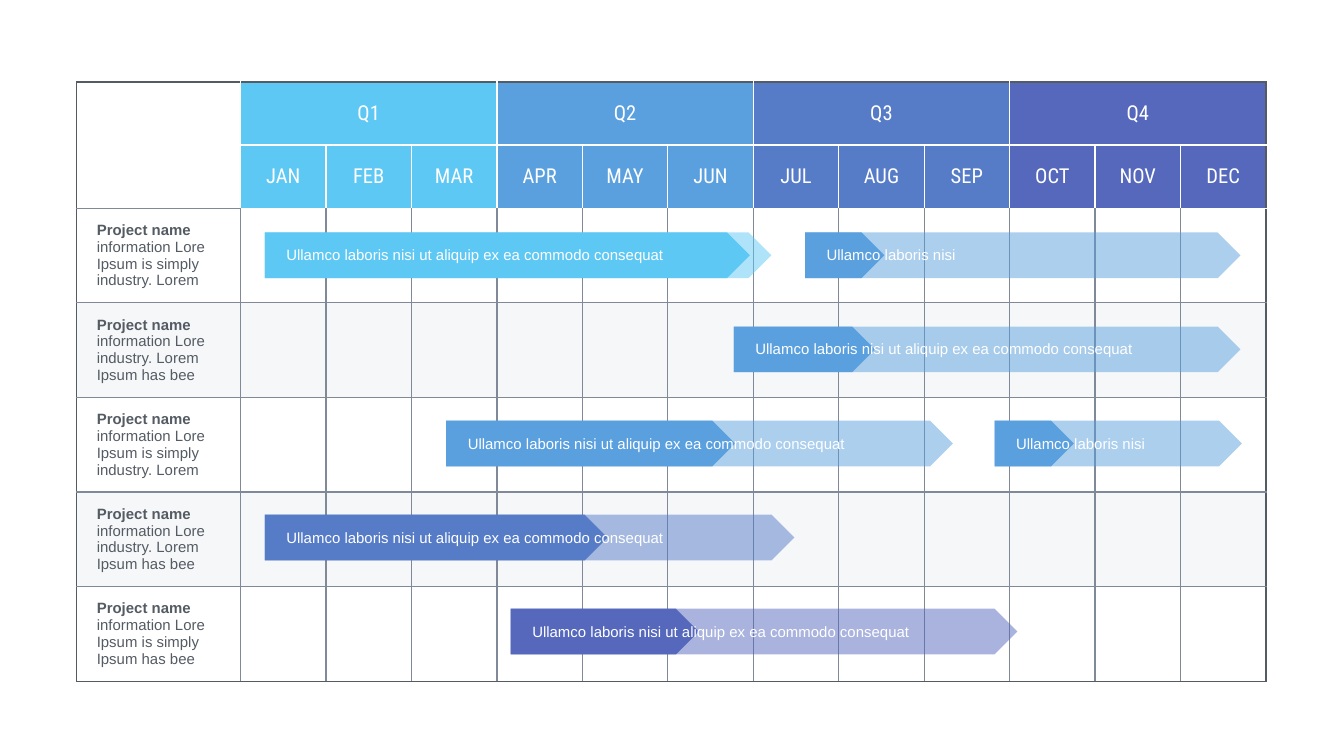
from dataclasses import dataclass

import pptx
import pptx.dml.color
import pptx.enum.shapes
import pptx.enum.text
import pptx.oxml.ns
import pptx.util
from lxml import etree

Inches = pptx.util.Inches
qn = pptx.oxml.ns.qn


@dataclass(frozen=True)
class Theme:
    quarters: tuple = ("5EC8F5", "5AA0DF", "567BC7", "5568BC")
    white: str = "FFFFFF"
    band: str = "EEF0F4"
    grid: str = "7F8998"
    dark: str = "545B63"
    head_font: str = "Roboto Condensed"
    body_font: str = "Arial"
    head_size: int = 11
    body_size: int = 8
    border: float = 0.75


MONTHS = "JAN FEB MAR APR MAY JUN JUL AUG SEP OCT NOV DEC".split()
HEAD_ROWS = 2
PROJECTS = [
    "information Lore Ipsum is simply industry. Lorem",
    "information Lore industry. Lorem Ipsum has bee",
    "information Lore Ipsum is simply industry. Lorem",
    "information Lore industry. Lorem Ipsum has bee",
    "information Lore Ipsum is simply Ipsum has bee",
]
LAST_ROW = HEAD_ROWS + len(PROJECTS) - 1
LAST_COL = len(MONTHS)
LONG = "Ullamco laboris nisi ut aliquip ex ea commodo consequat"
SHORT = "Ullamco laboris nisi"
# project row, quarter colour, left, planned width, done width, label
BARS = [
    (1, 1, 5.46, 3.77, 1.05, LONG),
    (0, 0, 1.97, 3.77, 3.61, LONG),
    (3, 2, 1.97, 3.94, 2.55, LONG),
    (4, 3, 3.8, 3.77, 1.4, LONG),
    (2, 1, 3.32, 3.77, 2.15, LONG),
    (2, 1, 7.4, 1.84, 0.59, SHORT),
    (0, 1, 5.99, 3.24, 0.59, SHORT),
]


class GanttSlide:
    def __init__(self, prs, theme):
        self.theme = theme
        self.s = prs.slides.add_slide(prs.slide_layouts[6])

    def paint(self, fill, color, alpha=100):
        fill.solid()
        fill.fore_color.rgb = pptx.dml.color.RGBColor.from_string(color)
        if alpha < 100:
            clr = fill._xPr.find(qn("a:solidFill"))[0]
            etree.SubElement(clr, qn("a:alpha"), val=str(alpha * 1000))

    def style_run(self, r, font, size, color, bold=False):
        r.font.name = font
        r.font.size = pptx.util.Pt(size)
        r.font.bold = bold
        r.font.color.rgb = pptx.dml.color.RGBColor.from_string(color)

    def insets(self, obj, left=0.04):
        obj.margin_left, obj.margin_right = Inches(left), Inches(0.04)
        obj.margin_top = obj.margin_bottom = Inches(0.02)

    def borders(self, cell, row, col):
        """Dark outer frame, white lines in the header, grey lines elsewhere."""
        t = self.theme
        end_row = row + (cell.span_height if cell.is_merge_origin else 1) - 1
        end_col = col + (cell.span_width if cell.is_merge_origin else 1) - 1
        header = row < HEAD_ROWS
        inner = t.white if header else t.grid
        colors = {
            "L": t.dark if col == 0 else inner,
            "R": t.dark if end_col == LAST_COL else inner,
            "T": t.dark if row == 0 else
                 t.white if col and row <= HEAD_ROWS else t.grid,
            "B": t.dark if end_row == LAST_ROW else
                 t.white if col and header else t.grid,
        }
        tc_pr = cell._tc.get_or_add_tcPr()
        for side, color in colors.items():
            ln = etree.SubElement(tc_pr, qn("a:ln" + side),
                                  w=str(pptx.util.Pt(t.border)))
            solid = etree.SubElement(ln, qn("a:solidFill"))
            etree.SubElement(solid, qn("a:srgbClr"), val=color)

    def head_cell(self, cell, text, quarter):
        t = self.theme
        self.paint(cell.fill, t.quarters[quarter])
        cell.text_frame.text = text
        p = cell.text_frame.paragraphs[0]
        p.alignment = pptx.enum.text.PP_ALIGN.CENTER
        self.style_run(p.runs[0], t.head_font, t.head_size, t.white)

    def project_cell(self, cell, details):
        t = self.theme
        self.insets(cell, left=0.15)
        p = cell.text_frame.paragraphs[0]
        for text, bold in (("Project name ", True), (details, False)):
            r = p.add_run()
            r.text = text
            self.style_run(r, t.body_font, t.body_size, t.dark, bold)

    def calendar(self, left, top, name_width, month_width, head_height, row_height):
        t = self.theme
        frame = self.s.shapes.add_table(
            LAST_ROW + 1, LAST_COL + 1, Inches(left), Inches(top),
            Inches(name_width + month_width * len(MONTHS)),
            Inches(head_height * HEAD_ROWS + row_height * len(PROJECTS)))
        table = frame.table
        table.first_row = table.horz_banding = False
        for i, column in enumerate(table.columns):
            column.width = Inches(month_width if i else name_width)
        for i, row in enumerate(table.rows):
            row.height = Inches(head_height if i < HEAD_ROWS else row_height)

        table.cell(0, 0).merge(table.cell(1, 0))
        for col in range(1, LAST_COL, 3):
            table.cell(0, col).merge(table.cell(0, col + 2))

        for row in range(LAST_ROW + 1):
            for col in range(LAST_COL + 1):
                cell = table.cell(row, col)
                if cell.is_spanned:
                    continue
                self.borders(cell, row, col)
                self.insets(cell)
                cell.vertical_anchor = pptx.enum.text.MSO_ANCHOR.MIDDLE
                quarter = (col - 1) // 3
                if row >= HEAD_ROWS:
                    if row % 2:
                        self.paint(cell.fill, t.band, 50)
                    else:
                        self.paint(cell.fill, t.white, 50 if row == LAST_ROW else 100)
                    if col == 0:
                        self.project_cell(cell, PROJECTS[row - HEAD_ROWS])
                elif col == 0:
                    cell.fill.background()
                else:
                    text = MONTHS[col - 1] if row else f"Q{quarter + 1}"
                    self.head_cell(cell, text, quarter)

    def bar(self, left, top, planned, done, color, label):
        """A pale arrow for the plan, a solid one for the progress, and a label."""
        t = self.theme
        shapes = self.s.shapes.add_group_shape().shapes
        for width, alpha in ((planned, 50), (done, 100)):
            sp = shapes.add_shape(pptx.enum.shapes.MSO_SHAPE.PENTAGON, Inches(left),
                                  Inches(top), Inches(width), Inches(0.34))
            sp.shadow.inherit = False
            sp.line.fill.background()
            self.paint(sp.fill, color, alpha)
        label_width = 3.11 if label == LONG else 1.43
        tb = shapes.add_textbox(Inches(left + 0.12), Inches(top + 0.08),
                                Inches(label_width), Inches(0.18))
        tf = tb.text_frame
        tf.word_wrap = True
        self.insets(tf)
        tf.text = label
        self.style_run(tf.paragraphs[0].runs[0], t.body_font, t.body_size, t.white)


def main():
    prs = pptx.Presentation()
    prs.slide_width, prs.slide_height = Inches(10), Inches(10 * 9 / 16)
    theme = Theme()
    gantt = GanttSlide(prs, theme)
    gantt.calendar(left=0.57, top=0.61, name_width=1.22, month_width=7.63 / 12,
                   head_height=0.47, row_height=3.52 / 5)
    for row, quarter, left, planned, done, label in BARS:
        gantt.bar(left, 1.73 + 0.7 * row, planned, done,
                  theme.quarters[quarter], label)
    prs.save("out.pptx")


if __name__ == "__main__":
    main()
